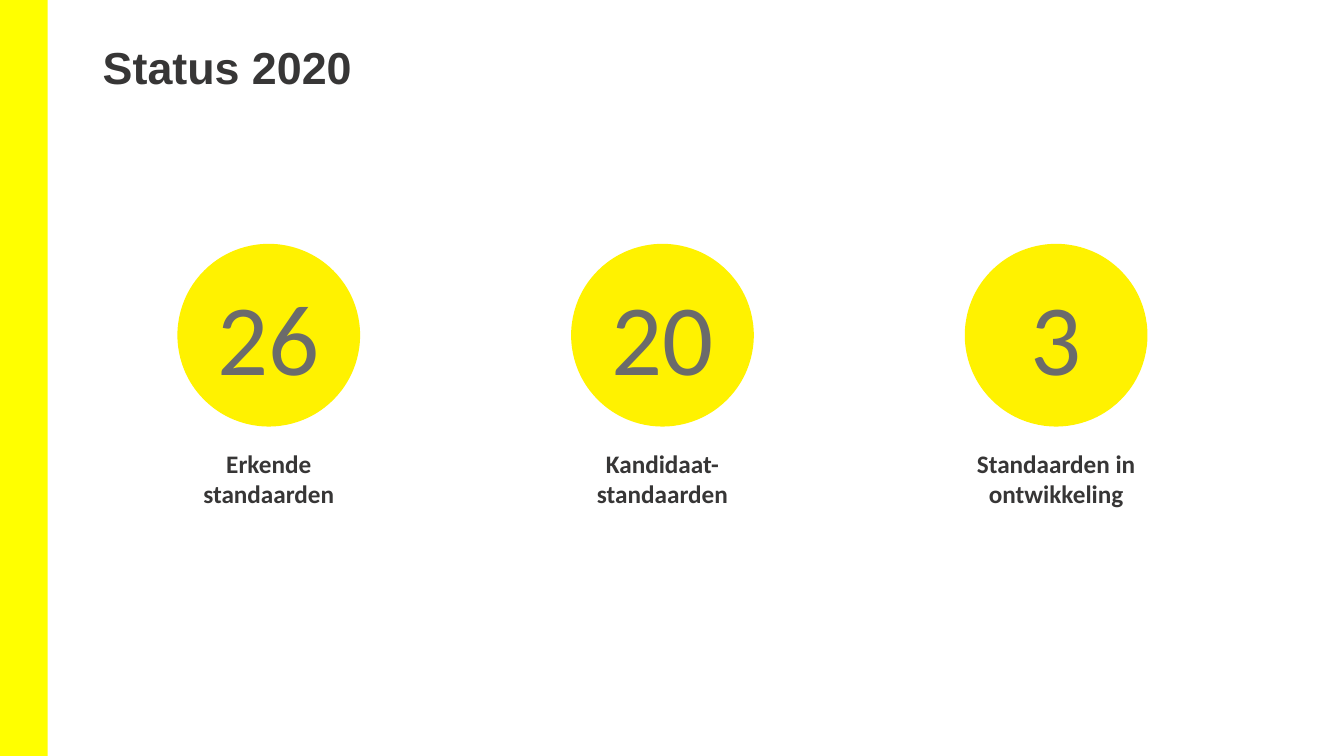
"""Build the Status 2020 slide with three counts of standards."""
from pptx import Presentation
from pptx.dml.color import RGBColor
from pptx.enum.shapes import MSO_SHAPE
from pptx.enum.text import MSO_ANCHOR, MSO_AUTO_SIZE, PP_ALIGN
from pptx.util import Pt

RECT, OVAL = MSO_SHAPE.RECTANGLE, MSO_SHAPE.OVAL
TOP, MIDDLE = MSO_ANCHOR.TOP, MSO_ANCHOR.MIDDLE
LEFT, CENTER = PP_ALIGN.LEFT, PP_ALIGN.CENTER
NO_AUTOFIT = MSO_AUTO_SIZE.NONE

COLORS = {"bar": "FFFF00", "circle": "FFF200", "number": "6B6B6B", "text": "373636"}
TITLE = {"name": "Arial", "size": Pt(32), "bold": True}
NUMBER = {"name": "Calibri", "size": Pt(72), "bold": False}
LABEL = {"name": "Calibri", "size": Pt(18), "bold": True}

COUNTS = [
    ("26", "Erkende standaarden"),
    ("20", "Kandidaat- standaarden"),
    ("3", "Standaarden in ontwikkeling"),
]
FIRST_CENTER, PITCH = 192, 281.2
CIRCLE_TOP, CIRCLE_SIZE = 174.2, 130.5
LABEL_TOP, LABEL_WIDTH, LABEL_HEIGHT = 316.8, 155.5, 51


def set_text(shape, text, fmt, color, align=CENTER, anchor=MIDDLE):
    tf = shape.text_frame
    tf.auto_size = NO_AUTOFIT
    tf.word_wrap = True
    tf.vertical_anchor = anchor
    p = tf.paragraphs[0]
    p.alignment = align
    r = p.add_run()
    r.text = text
    for key, value in fmt.items():
        setattr(r.font, key, value)
    r.font.color.rgb = RGBColor.from_string(COLORS[color])
    return p


def add_filled(s, kind, left, top, width, height, color):
    sp = s.shapes.add_shape(kind, Pt(left), Pt(top), Pt(width), Pt(height))
    sp.shadow.inherit = False
    sp.fill.solid()
    sp.fill.fore_color.rgb = RGBColor.from_string(COLORS[color])
    sp.line.fill.background()
    return sp


def add_title(s, text):
    sp = s.shapes.title
    sp.left, sp.top, sp.width, sp.height = Pt(66.2), Pt(7.9), Pt(635), Pt(87.1)
    set_text(sp, text, TITLE, "text", LEFT).line_spacing = 0.75


def add_count(s, center, number, label):
    circle = add_filled(s, OVAL, center - CIRCLE_SIZE / 2, CIRCLE_TOP,
                        CIRCLE_SIZE, CIRCLE_SIZE, "circle")
    set_text(circle, number, NUMBER, "number")
    box = s.shapes.add_textbox(Pt(center - LABEL_WIDTH / 2), Pt(LABEL_TOP),
                               Pt(LABEL_WIDTH), Pt(LABEL_HEIGHT))
    set_text(box, label, LABEL, "text", anchor=TOP)


def main():
    prs = Presentation()
    prs.slide_width, prs.slide_height = Pt(960), Pt(540)
    s = prs.slides.add_slide(prs.slide_layouts[5])
    add_filled(s, RECT, 0, 0, 34, 540, "bar")
    add_title(s, "Status 2020")
    for i, (number, label) in enumerate(COUNTS):
        add_count(s, FIRST_CENTER + i * PITCH, number, label)
    prs.save("out.pptx")


if __name__ == "__main__":
    main()
